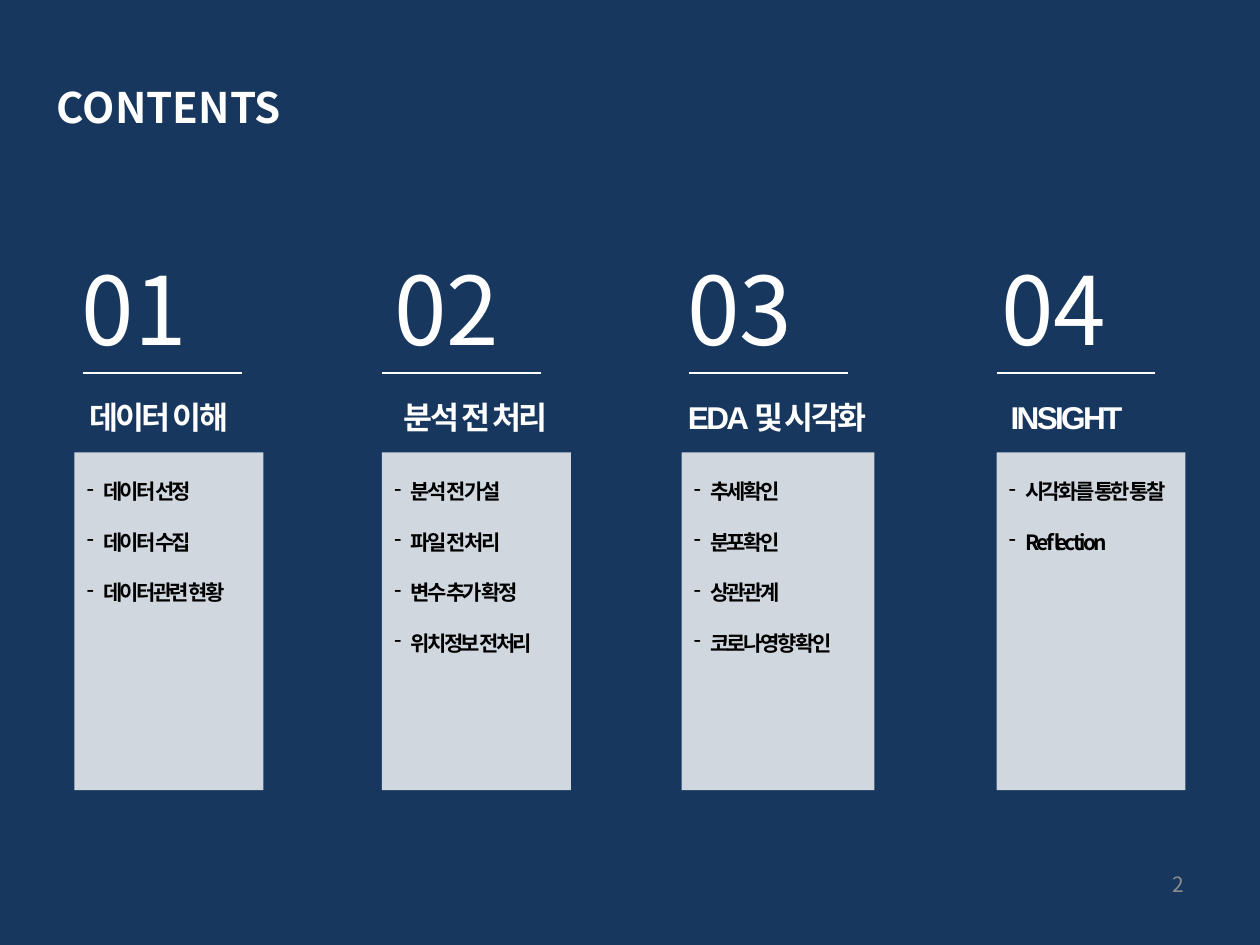
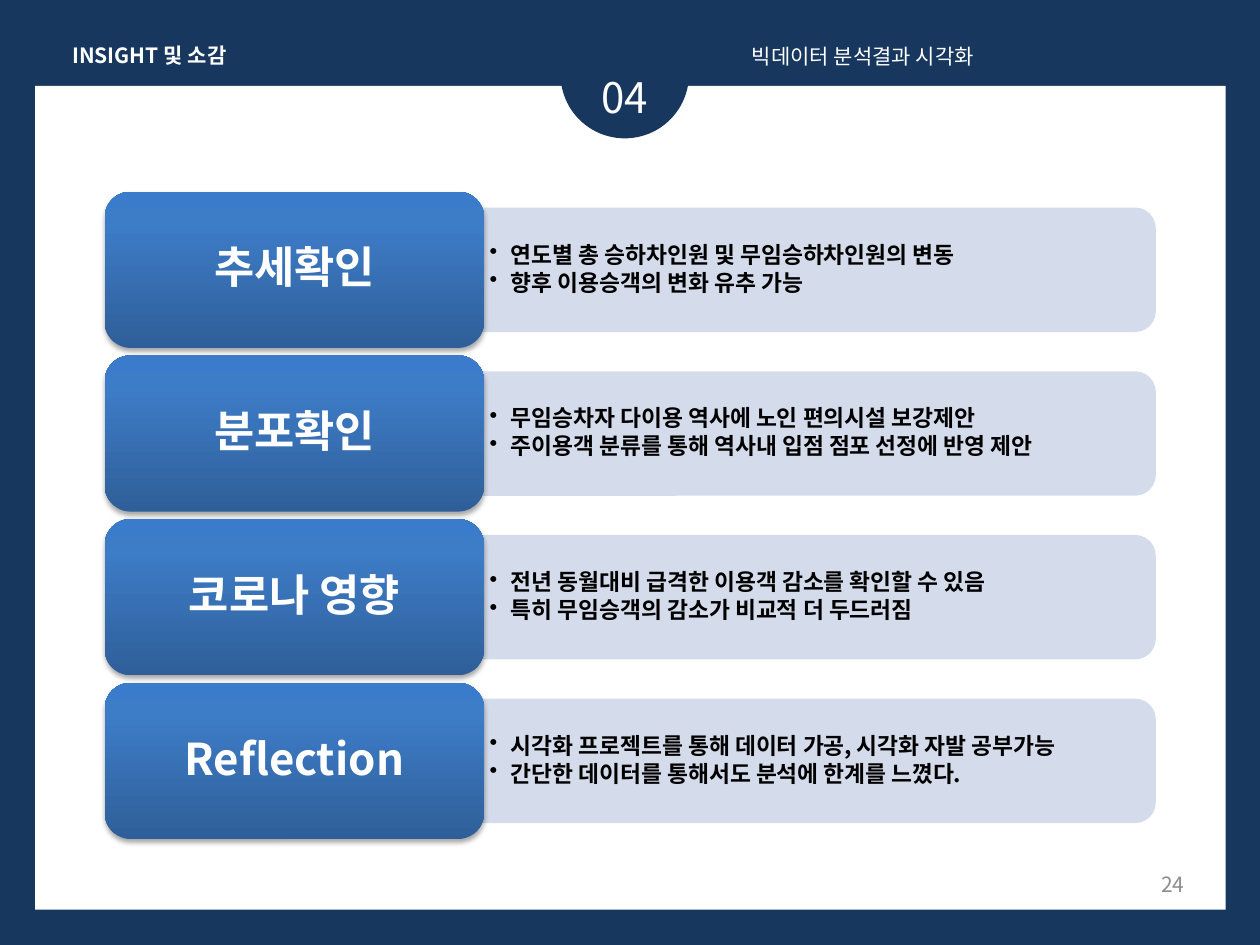
from copy import deepcopy

from lxml.etree import SubElement
from pptx import Presentation
from pptx.dml.color import RGBColor
from pptx.enum.shapes import MSO_CONNECTOR, MSO_SHAPE
from pptx.enum.text import MSO_ANCHOR, MSO_AUTO_SIZE, PP_ALIGN
from pptx.oxml.ns import qn
from pptx.util import Cm, Pt

COLORS = {
    "navy": "17375E",
    "white": "FFFFFF",
    "black": "000000",
    "page_number": "8C8C8C",
    "detail": "D0D8E8",
}
LABEL_GRADIENT = [(0, "2F5F99"), (0.8, "3D7CC7"), (1, "3A7CCB")]
FONT = "Noto Sans CJK KR"
HEADING_FONT = "Arial"
PAGE_NUMBER_BOX = (18.21, 17.32, 5.92, 1.02)


def write_text(shape, lines, size, color="white", bold=False, align=PP_ALIGN.LEFT,
               anchor=MSO_ANCHOR.TOP, font=FONT, tracking=0, bullet=None, indent=0):
    """Fill a shape with one paragraph per line; tracking is in points, indent in cm."""
    text_frame = shape.text_frame
    text_frame.word_wrap = True
    text_frame.auto_size = MSO_AUTO_SIZE.NONE
    text_frame.vertical_anchor = anchor
    text_frame.text = "\n".join(lines)
    for paragraph in text_frame.paragraphs:
        paragraph.alignment = align
        if bullet:
            properties = paragraph._p.get_or_add_pPr()
            properties.set("marL", str(Cm(indent)))
            properties.set("indent", str(-Cm(indent)))
            SubElement(properties, qn("a:buChar")).set("char", bullet)
        for run in paragraph.runs:
            run.font.name = font
            run.font.size = Pt(size)
            run.font.bold = bold
            run.font.color.rgb = RGBColor.from_string(COLORS[color])
            run_properties = run._r.get_or_add_rPr()
            run_properties.set("spc", str(int(tracking * 100)))
            SubElement(run_properties, qn("a:ea")).set("typeface", FONT)


def add_block(slide, kind, box, color, opacity=100):
    shape = slide.shapes.add_shape(kind, *map(Cm, box))
    shape.shadow.inherit = False
    shape.fill.solid()
    shape.fill.fore_color.rgb = RGBColor.from_string(COLORS[color])
    shape.line.fill.background()
    if opacity < 100:
        for rgb in shape._element.spPr.iter(qn("a:srgbClr")):
            SubElement(rgb, qn("a:alpha")).set("val", str(opacity * 1000))
    return shape


presentation = Presentation()
presentation.slide_width = Cm(25.4)
presentation.slide_height = Cm(19.05)
background = presentation.slide_master.background.fill
background.solid()
background.fore_color.rgb = RGBColor.from_string(COLORS["navy"])
title_only = presentation.slide_layouts[5]

# Both slides: title and page number
slides = []
for title_text, title_box, title_size, title_align, page_number in [
    ("CONTENTS", (0.89, 1.52, 11.61, 1.27), 24, PP_ALIGN.LEFT, "2"),
    ("INSIGHT 및 소감", (1.12, 0.74, 3.78, 0.76), 12, PP_ALIGN.CENTER, "24"),
]:
    slide = presentation.slides.add_slide(title_only)
    title = slide.shapes.title
    title.left, title.top, title.width, title.height = map(Cm, title_box)
    write_text(title, [title_text], title_size, bold=True, align=title_align)
    slides.append((slide, page_number))
contents_slide, insight_slide = (slide for slide, _ in slides)

# Contents: four chapters
# number left, rule left, heading centre, panel left, panel width, heading, topics
chapters = [
    (1.4, 1.68, 3.2, 1.5, 3.81, "데이터 이해",
     ["데이터 선정", "데이터 수집", "데이터관련 현황"]),
    (7.7, 7.7, 9.59, 7.7, 3.81, "분석 전 처리",
     ["분석 전 가설", "파일 전 처리", "변수 추가 확정", "위치정보 전처리"]),
    (13.61, 13.89, 15.67, 13.74, 3.89, "EDA 및 시각화",
     ["추세확인", "분포확인", "상관관계", "코로나영향 확인"]),
    (19.94, 20.09, 21.5, 20.09, 3.81, "INSIGHT",
     ["시각화를 통한 통찰", "Reflection"]),
]
rule_width, rule_top, heading_width = 3.2, 7.52, 5
shapes = contents_slide.shapes
for index, chapter in enumerate(chapters, start=1):
    number_left, rule_left, heading_center, panel_left, panel_width, heading, topics = chapter
    add_block(contents_slide, MSO_SHAPE.RECTANGLE,
              (panel_left, 9.12, panel_width, 6.81), "white", 80)

    number = shapes.add_textbox(Cm(number_left), Cm(4.93), Cm(3.5), Cm(2.57))
    write_text(number, [f"{index:02}"], 54)

    rule = shapes.add_connector(MSO_CONNECTOR.STRAIGHT, Cm(rule_left), Cm(rule_top),
                                Cm(rule_left + rule_width), Cm(rule_top))
    rule.line.color.rgb = RGBColor.from_string(COLORS["white"])
    rule.line.width = Pt(0.75)
    SubElement(rule._element.spPr, qn("a:effectLst"))

    heading_box = shapes.add_textbox(Cm(heading_center - heading_width / 2), Cm(7.9),
                                     Cm(heading_width), Cm(1.02))
    write_text(heading_box, [heading], 18, bold=True, align=PP_ALIGN.CENTER,
               font=HEADING_FONT, tracking=-1.5)

    topic_list = shapes.add_textbox(Cm(panel_left), Cm(9.53), Cm(panel_width + 0.3), Cm(3.84))
    write_text(topic_list, topics, 12, "black", bold=True, tracking=-1.5,
               bullet="-", indent=0.33)
    for paragraph in topic_list.text_frame.paragraphs[1:]:
        paragraph.space_before = Pt(14.4)

# Insight: white page with a chapter badge
add_block(insight_slide, MSO_SHAPE.RECTANGLE, (0.71, 1.73, 24, 16.61), "white")
add_block(insight_slide, MSO_SHAPE.OVAL, (11.3, 0.2, 2.59, 2.59), "navy")
shapes = insight_slide.shapes
badge_number = shapes.add_textbox(Cm(11.1), Cm(1.32), Cm(3), Cm(1.27))
write_text(badge_number, ["04"], 24, align=PP_ALIGN.CENTER)
subject = shapes.add_textbox(Cm(14.91), Cm(0.76), Cm(10), Cm(0.76))
write_text(subject, ["빅데이터 분석결과 시각화"], 12)

# Insight: one row per finding
findings = [
    ("추세확인", ["연도별 총 승하차인원 및 무임승하차인원의 변동",
              "향후 이용승객의 변화 유추 가능"]),
    ("분포확인", ["무임승차자 다이용 역사에 노인 편의시설 보강제안",
              "주이용객 분류를 통해 역사내 입점 점포 선정에 반영 제안"]),
    ("코로나 영향", ["전년 동월대비 급격한 이용객 감소를 확인할 수 있음",
                "특히 무임승객의 감소가 비교적 더 두드러짐"]),
    ("Reflection", ["시각화 프로젝트를 통해 데이터 가공, 시각화 자발 공부가능",
                    "간단한 데이터를 통해서도 분석에 한계를 느꼈다."]),
]
first_row_center, row_pitch = 5.44, 3.3
label_left, label_width, label_height = 2.11, 7.65, 3.15
detail_left, detail_width, detail_height = 9.74, 13.56, 2.51
for row, (label_text, details) in enumerate(findings):
    center = first_row_center + row * row_pitch

    # The bar stands upright before it is turned, so its sides are swapped
    bar = add_block(insight_slide, MSO_SHAPE.ROUND_2_SAME_RECTANGLE,
                    (detail_left + (detail_width - detail_height) / 2,
                     center - detail_width / 2, detail_height, detail_width), "detail", 90)
    bar.rotation = 90

    detail_box = shapes.add_textbox(Cm(detail_left), Cm(center - 1.13), Cm(13.44), Cm(2.26))
    write_text(detail_box, details, 13, "black", bold=True, anchor=MSO_ANCHOR.MIDDLE,
               bullet="•", indent=0.43)
    detail_box.text_frame.margin_left = detail_box.text_frame.margin_right = Cm(0.13)
    for paragraph in detail_box.text_frame.paragraphs:
        paragraph.line_spacing = 0.9
        paragraph.space_after = Pt(2)

    label = add_block(insight_slide, MSO_SHAPE.ROUNDED_RECTANGLE,
                      (label_left, center - label_height / 2, label_width, label_height), "navy")
    label.fill.gradient()
    label.fill.gradient_angle = 90
    stop_list = label._element.spPr.find(qn("a:gradFill")).find(qn("a:gsLst"))
    stop_list.append(deepcopy(stop_list[-1]))
    for stop, (position, color) in zip(label.fill.gradient_stops, LABEL_GRADIENT):
        stop.position = position
        stop.color.rgb = RGBColor.from_string(color)
    effects = label._element.spPr.find(qn("a:effectLst"))
    shadow = SubElement(effects, qn("a:outerShdw"), blurRad=str(Pt(3.1)),
                        dist=str(Pt(1.8)), dir="5400000", rotWithShape="0")
    shadow_color = SubElement(shadow, qn("a:srgbClr"), val=COLORS["black"])
    SubElement(shadow_color, qn("a:alpha"), val="35000")
    write_text(label, [label_text], 25, bold=True, align=PP_ALIGN.CENTER,
               anchor=MSO_ANCHOR.MIDDLE)
    label.text_frame.paragraphs[0].line_spacing = 0.9

for slide, page_number in slides:
    page_box = slide.shapes.add_textbox(*map(Cm, PAGE_NUMBER_BOX))
    write_text(page_box, [page_number], 12, "page_number", align=PP_ALIGN.RIGHT,
               anchor=MSO_ANCHOR.MIDDLE)

presentation.save("out.pptx")
